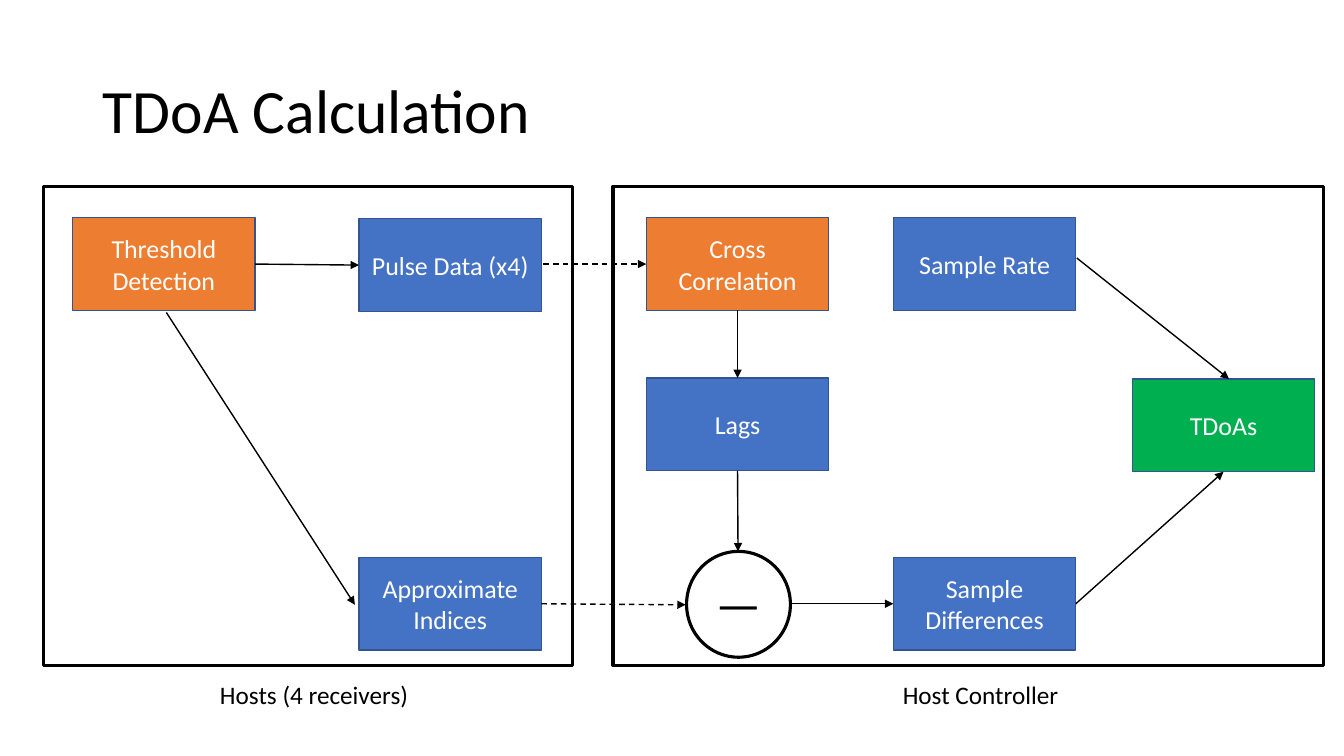
from dataclasses import dataclass
from typing import Optional

from lxml.etree import SubElement
from pptx import Presentation
from pptx.dml.color import RGBColor
from pptx.enum.dml import MSO_LINE
from pptx.enum.shapes import MSO_CONNECTOR, MSO_SHAPE
from pptx.enum.text import MSO_ANCHOR, MSO_AUTO_SIZE, PP_ALIGN
from pptx.oxml.ns import qn
from pptx.util import Inches, Pt


@dataclass(frozen=True)
class Theme:
    font: str = "Calibri"
    black: RGBColor = RGBColor.from_string("000000")
    white: RGBColor = RGBColor.from_string("FFFFFF")
    data: RGBColor = RGBColor.from_string("4472C4")
    process: RGBColor = RGBColor.from_string("ED7D31")
    result: RGBColor = RGBColor.from_string("00B050")
    border: RGBColor = RGBColor.from_string("325491")
    title_size: float = 44
    stage_size: float = 18.5
    caption_size: float = 18
    minus_size: float = 36
    thin: float = 1
    thick: float = 2.25


@dataclass(frozen=True)
class Stage:
    label: str
    left: float
    top: float
    fill: RGBColor


@dataclass(frozen=True)
class Outline:
    kind: MSO_SHAPE
    left: float
    top: float
    width: float
    height: float


@dataclass(frozen=True)
class Caption:
    text: str
    left: float
    top: float
    width: float
    height: float
    size: float
    align: PP_ALIGN


@dataclass(frozen=True)
class End:
    x: float
    y: float
    stage: Optional[str] = None
    side: int = 0


@dataclass(frozen=True)
class Flow:
    start: End
    end: End
    dashed: bool = False


THEME = Theme()
STAGE_WIDTH, STAGE_HEIGHT = 1.81, 0.92
TOP, LEFT, BOTTOM, RIGHT = range(4)
TOP_ROW, MIDDLE_ROW, BOTTOM_ROW = 2.16, 3.75, 5.53
HOST_COLUMN, LAG_COLUMN, SAMPLE_COLUMN = 3.56, 6.41, 8.86

STAGES = [
    Stage("Threshold Detection", 0.72, TOP_ROW, THEME.process),
    Stage("Pulse Data (x4)", HOST_COLUMN, 2.17, THEME.data),
    Stage("Approximate Indices", HOST_COLUMN, BOTTOM_ROW, THEME.data),
    Stage("Cross Correlation", LAG_COLUMN, TOP_ROW, THEME.process),
    Stage("Lags", LAG_COLUMN, MIDDLE_ROW, THEME.data),
    Stage("Sample Rate", SAMPLE_COLUMN, TOP_ROW, THEME.data),
    Stage("Sample Differences", SAMPLE_COLUMN, BOTTOM_ROW, THEME.data),
    Stage("TDoAs", 11.23, 3.76, THEME.result),
]

OUTLINES = [
    Outline(MSO_SHAPE.RECTANGLE, 0.43, 1.85, 5.25, 4.75),
    Outline(MSO_SHAPE.RECTANGLE, 6.08, 1.85, 7.05, 4.75),
    Outline(MSO_SHAPE.OVAL, 6.81, 5.47, 1.03, 1.05),
]

CAPTIONS = [
    Caption("Hosts (4 receivers)", 1.47, 6.69, 3.29, 0.4, THEME.caption_size, PP_ALIGN.CENTER),
    Caption("Host Controller", 8.08, 6.69, 3.29, 0.4, THEME.caption_size, PP_ALIGN.CENTER),
    Caption("—", 7, 5.63, 1, 0.71, THEME.minus_size, PP_ALIGN.LEFT),
]

FLOWS = [
    Flow(End(2.54, 2.62, "Threshold Detection", RIGHT), End(3.56, 2.62, "Pulse Data (x4)", LEFT)),
    Flow(End(1.65, 3.1), End(3.52, 6)),
    Flow(End(5.39, 2.62), End(6.41, 2.62, "Cross Correlation", LEFT), True),
    Flow(End(5.37, 5.99, "Approximate Indices", RIGHT), End(6.8, 6), True),
    Flow(End(7.32, 3.08, "Cross Correlation", BOTTOM), End(7.32, 3.75, "Lags", TOP)),
    Flow(End(7.32, 4.66, "Lags", BOTTOM), End(7.32, 5.47)),
    Flow(End(7.83, 5.99), End(8.86, 6, "Sample Differences", LEFT)),
    Flow(End(10.68, 2.56), End(12.19, 3.76)),
    Flow(End(10.68, 6, "Sample Differences", RIGHT), End(12.15, 4.68, "TDoAs", BOTTOM)),
]


def style_paragraph(paragraph, size: float, color: RGBColor, align: PP_ALIGN) -> None:
    paragraph.alignment = align
    paragraph.font.name = THEME.font
    paragraph.font.size = Pt(size)
    paragraph.font.color.rgb = color


def set_title(slide, text: str) -> None:
    title = slide.shapes.title
    title.left, title.top = Inches(0.92), Inches(0.4)
    title.width, title.height = Inches(11.5), Inches(1.45)
    frame = title.text_frame
    frame.text = text
    frame.vertical_anchor = MSO_ANCHOR.MIDDLE
    frame.auto_size = MSO_AUTO_SIZE.NONE
    paragraph = frame.paragraphs[0]
    paragraph.line_spacing = 0.9
    style_paragraph(paragraph, THEME.title_size, THEME.black, PP_ALIGN.LEFT)


def add_stage(slide, stage: Stage):
    box = slide.shapes.add_shape(
        MSO_SHAPE.RECTANGLE, Inches(stage.left), Inches(stage.top),
        Inches(STAGE_WIDTH), Inches(STAGE_HEIGHT))
    box.shadow.inherit = False
    box.fill.solid()
    box.fill.fore_color.rgb = stage.fill
    box.line.color.rgb = THEME.border
    box.line.width = Pt(THEME.thin)
    frame = box.text_frame
    frame.text = stage.label
    frame.word_wrap = True
    frame.vertical_anchor = MSO_ANCHOR.MIDDLE
    paragraph = frame.paragraphs[0]
    paragraph.space_after = Pt(6)
    style_paragraph(paragraph, THEME.stage_size, THEME.white, PP_ALIGN.CENTER)
    return box


def add_outline(slide, outline: Outline) -> None:
    shape = slide.shapes.add_shape(
        outline.kind, Inches(outline.left), Inches(outline.top),
        Inches(outline.width), Inches(outline.height))
    shape.shadow.inherit = False
    shape.fill.background()
    shape.line.color.rgb = THEME.black
    shape.line.width = Pt(THEME.thick)


def add_caption(slide, caption: Caption) -> None:
    box = slide.shapes.add_textbox(
        Inches(caption.left), Inches(caption.top),
        Inches(caption.width), Inches(caption.height))
    frame = box.text_frame
    frame.text = caption.text
    frame.word_wrap = True
    frame.auto_size = MSO_AUTO_SIZE.SHAPE_TO_FIT_TEXT
    style_paragraph(frame.paragraphs[0], caption.size, THEME.black, caption.align)


def add_flow(slide, flow: Flow, boxes: dict) -> None:
    start, end = flow.start, flow.end
    arrow = slide.shapes.add_connector(
        MSO_CONNECTOR.STRAIGHT, Inches(start.x), Inches(start.y),
        Inches(end.x), Inches(end.y))
    if start.stage:
        arrow.begin_connect(boxes[start.stage], start.side)
    if end.stage:
        arrow.end_connect(boxes[end.stage], end.side)
    arrow.line.color.rgb = THEME.black
    arrow.line.width = Pt(THEME.thin)
    if flow.dashed:
        arrow.line.dash_style = MSO_LINE.DASH
    properties = arrow._element.spPr
    SubElement(properties.find(qn("a:ln")), qn("a:tailEnd"), type="triangle")
    SubElement(properties, qn("a:effectLst"))


def main() -> None:
    deck = Presentation()
    deck.slide_width, deck.slide_height = Inches(13.33), Inches(7.5)
    slide = deck.slides.add_slide(deck.slide_layouts[5])
    set_title(slide, "TDoA Calculation")
    for outline in OUTLINES:
        add_outline(slide, outline)
    boxes = {stage.label: add_stage(slide, stage) for stage in STAGES}
    for caption in CAPTIONS:
        add_caption(slide, caption)
    for flow in FLOWS:
        add_flow(slide, flow, boxes)
    deck.save("out.pptx")


if __name__ == "__main__":
    main()
